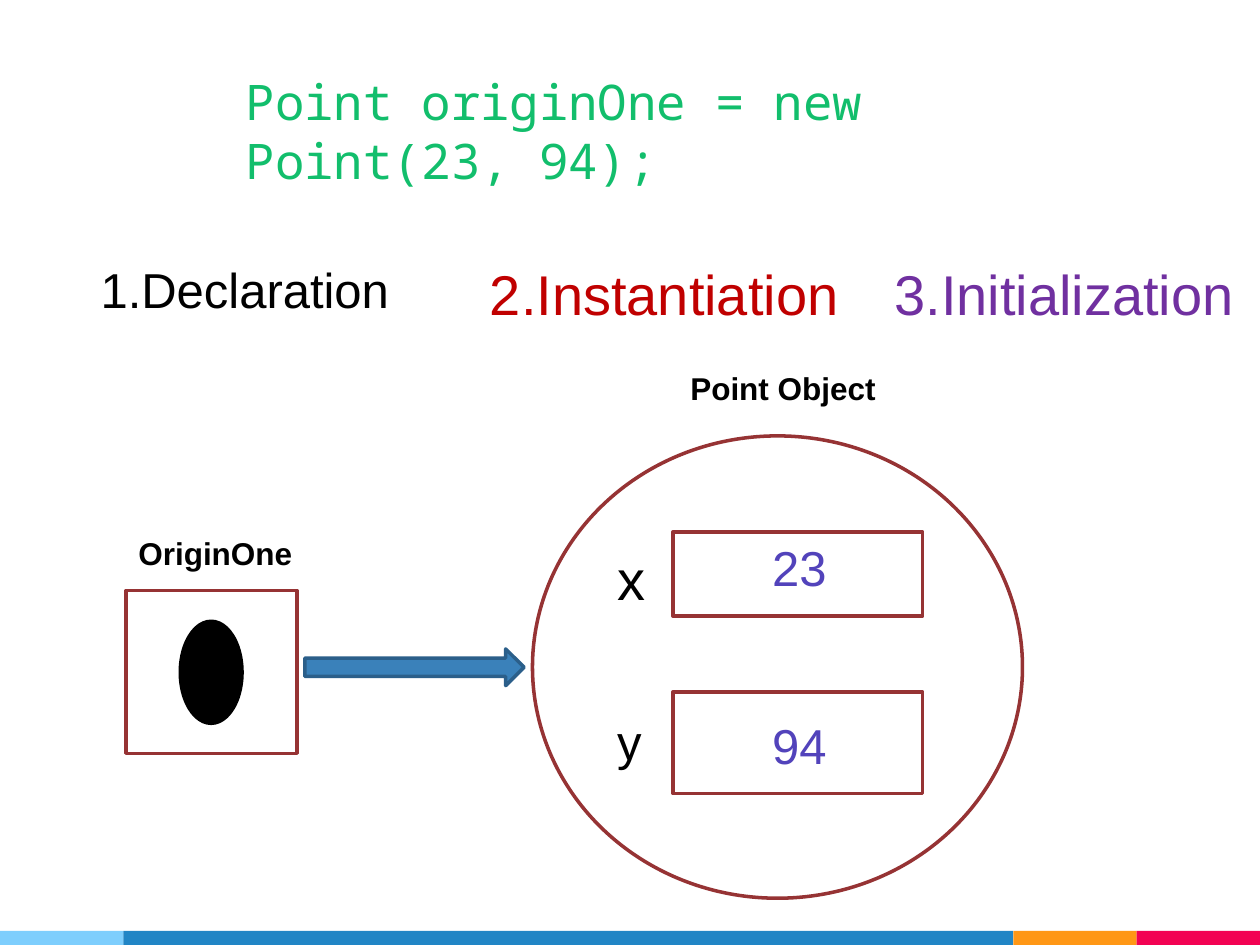
from pptx import Presentation
from pptx.dml.color import RGBColor
from pptx.enum.shapes import MSO_SHAPE
from pptx.enum.text import MSO_ANCHOR, MSO_AUTO_SIZE, PP_ALIGN
from pptx.util import Pt

RECTANGLE, OVAL, ARROW = MSO_SHAPE.RECTANGLE, MSO_SHAPE.OVAL, MSO_SHAPE.RIGHT_ARROW
LEFT, TOP, MIDDLE = PP_ALIGN.LEFT, MSO_ANCHOR.TOP, MSO_ANCHOR.MIDDLE
NO_AUTOFIT = MSO_AUTO_SIZE.NONE

COLORS = {
    "white": "FFFFFF", "black": "000000", "brown": "963334",
    "red": "C00000", "purple": "7030A0", "violet": "5243BB", "green": "12BE6C",
    "arrow": "3A81BA", "arrow edge": "2B5F8A",
    "sky": "7ECEFD", "blue": "2185C5", "orange": "FF9715", "pink": "F20253",
}
PAGE_WIDTH, PAGE_HEIGHT = 720, 540
STRIP_HEIGHT = 8
STRIPS = [("sky", 70.5), ("blue", 508.5), ("orange", 70.5), ("pink", 70.5)]

CODE = "Point originOne = new Point(23, 94);"
CODE_AREA = (133.2, 54, 479.5, 41)

# kind, (left, top, width, height), fill, line
SHAPES = [
    (RECTANGLE, (72, 337.5, 97.9, 93), "white", "brown"),
    (OVAL, (103, 355, 35.3, 58.3), "black", "black"),
    (OVAL, (304.3, 249.1, 280, 264.2), "white", "brown"),
    (RECTANGLE, (384.5, 304, 142.8, 48), "white", "brown"),
    (RECTANGLE, (384.5, 395.5, 142.8, 58), "white", "brown"),
    (ARROW, (174.2, 370.8, 125.3, 21), "arrow", "arrow edge"),
]

# text, (left, top, width, height), format
LABELS = [
    ("OriginOne", (72, 301.7, 117.4, 29), {"size": 18, "bold": True}),
    ("1.Declaration", (50.4, 144.7, 191.5, 41), {"size": 28}),
    ("2.Instantiation", (272.9, 144.7, 240.5, 46), {"size": 32, "color": "red"}),
    ("3.Initialization", (504, 144.7, 231, 46), {"size": 32, "color": "purple"}),
    ("Point Object", (387.4, 207.4, 136.8, 29), {"size": 18, "bold": True}),
    ("x", (345.6, 307.4, 18.7, 46), {"size": 32}),
    ("y", (345.6, 403.2, 36, 41), {"size": 28}),
]
VALUES = "23\n94"
VALUES_AREA = (434.2, 234, 95.8, 318.2)


def place(box, area):
    box.left, box.top, box.width, box.height = map(Pt, area)


def write(box, text, size=28, color="black", font="Arial", bold=False,
          anchor=TOP, margin_top=3.6, gap=0):
    """Fill a box with one paragraph per line; gap is the space between them."""
    frame = box.text_frame
    frame.word_wrap = True
    frame.auto_size = NO_AUTOFIT
    frame.vertical_anchor = anchor
    frame.margin_top = Pt(margin_top)
    frame.text = text
    for index, para in enumerate(frame.paragraphs):
        para.alignment = LEFT
        para.space_before = Pt(gap if index else 0)
        for span in para.runs:
            span.font.name = font
            span.font.size = Pt(size)
            span.font.bold = bold
            span.font.color.rgb = RGBColor.from_string(COLORS[color])


def add_shape(page, kind, area, fill, line=None):
    shape = page.shapes.add_shape(kind, *map(Pt, area))
    shape.shadow.inherit = False
    shape.fill.solid()
    shape.fill.fore_color.rgb = RGBColor.from_string(COLORS[fill])
    if line:
        shape.line.color.rgb = RGBColor.from_string(COLORS[line])
        shape.line.width = Pt(2)
    else:
        shape.line.fill.background()


def add_text(page, text, area, **style):
    write(page.shapes.add_textbox(*map(Pt, area)), text, **style)


def main():
    deck = Presentation()
    deck.slide_width, deck.slide_height = Pt(PAGE_WIDTH), Pt(PAGE_HEIGHT)
    page = deck.slides.add_slide(deck.slide_layouts[5])

    title = page.shapes.title
    place(title, CODE_AREA)
    write(title, CODE, color="green", font="Noto Sans Mono", anchor=MIDDLE)

    left = 0
    for color, width in STRIPS:
        add_shape(page, RECTANGLE,
                  (left, PAGE_HEIGHT - STRIP_HEIGHT, width, STRIP_HEIGHT), color)
        left += width

    for shape in SHAPES:
        add_shape(page, *shape)
    for text, area, style in LABELS:
        add_text(page, text, area, **style)
    add_text(page, VALUES, VALUES_AREA, color="violet", margin_top=73, gap=68.5)

    deck.save("out.pptx")


if __name__ == "__main__":
    main()
